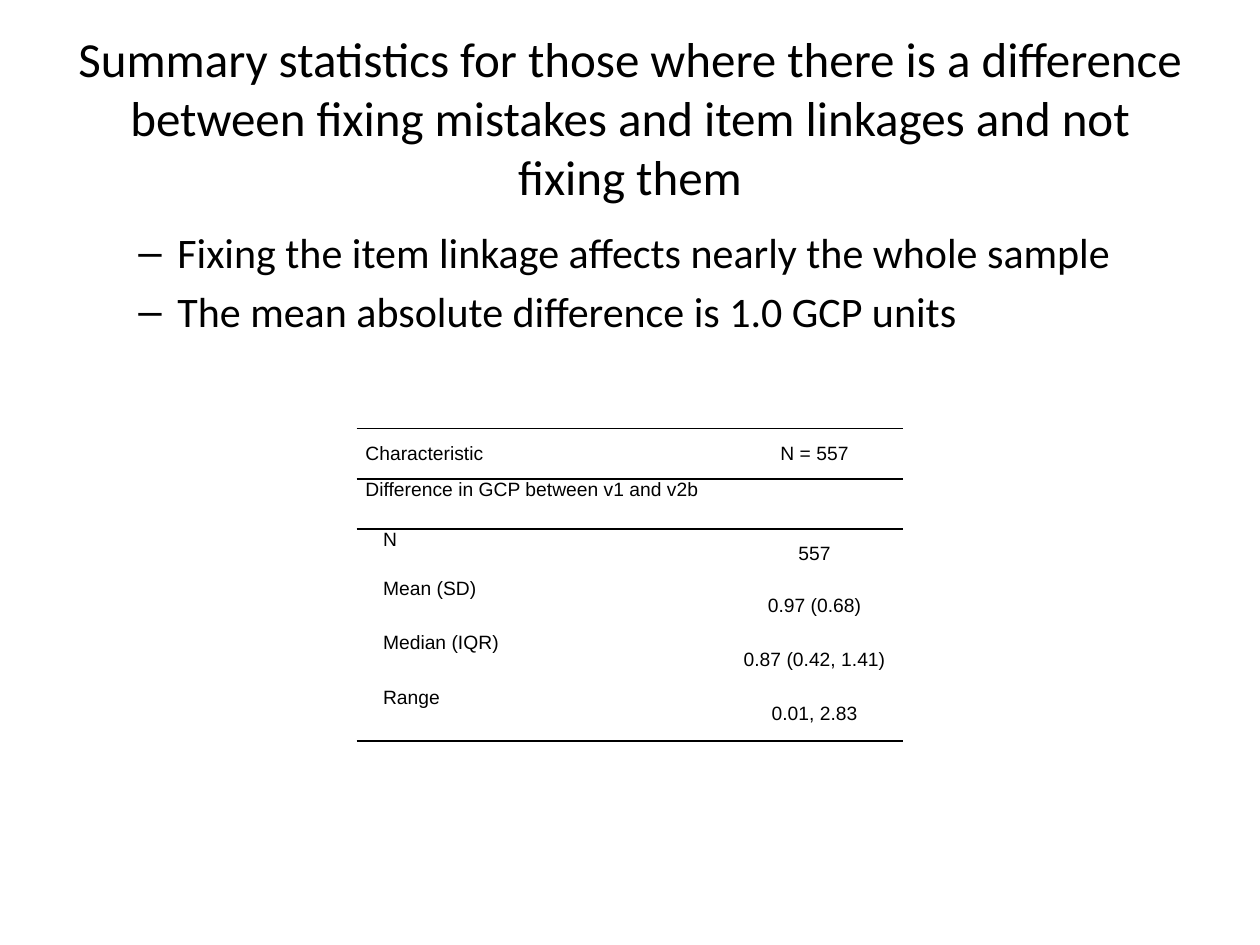
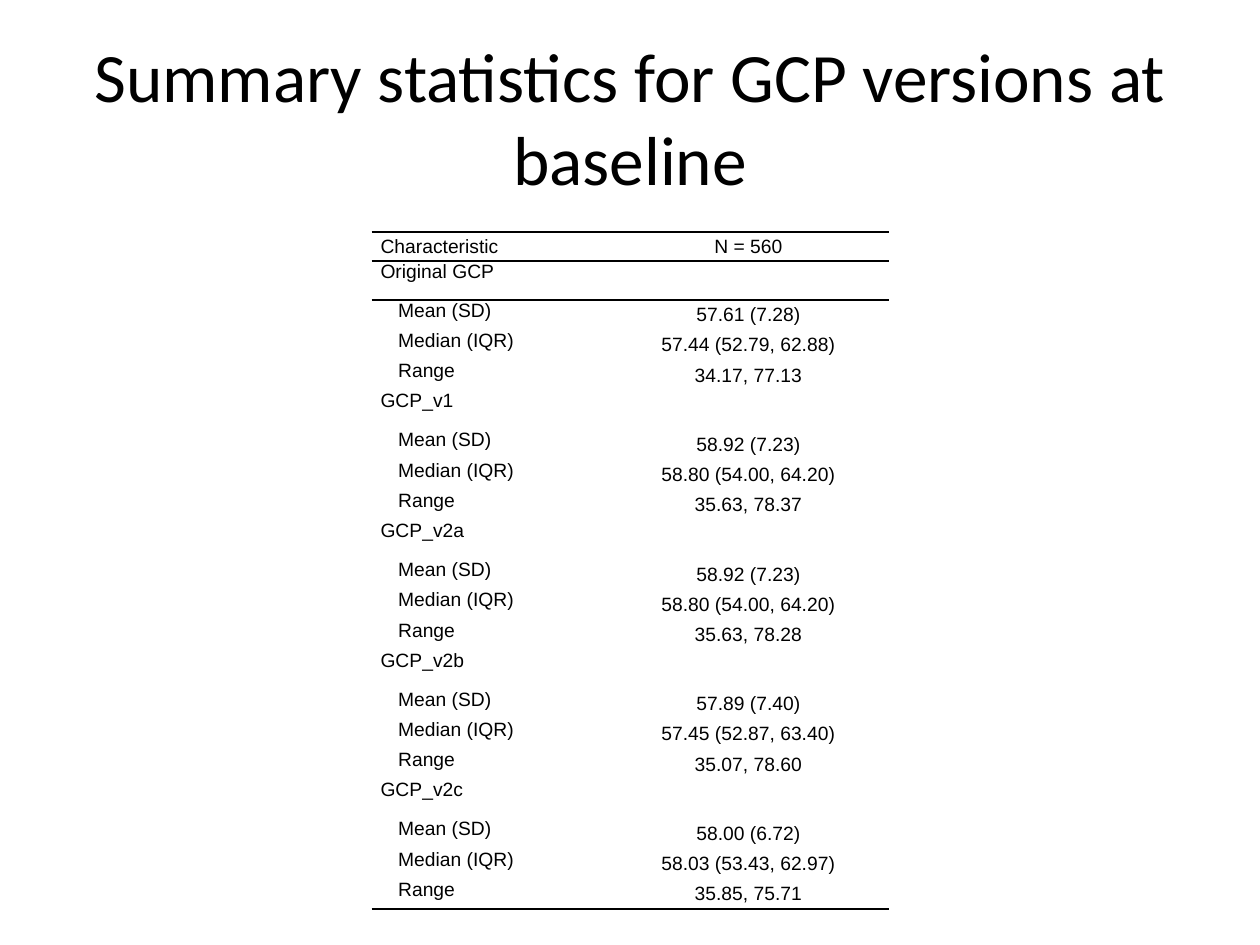
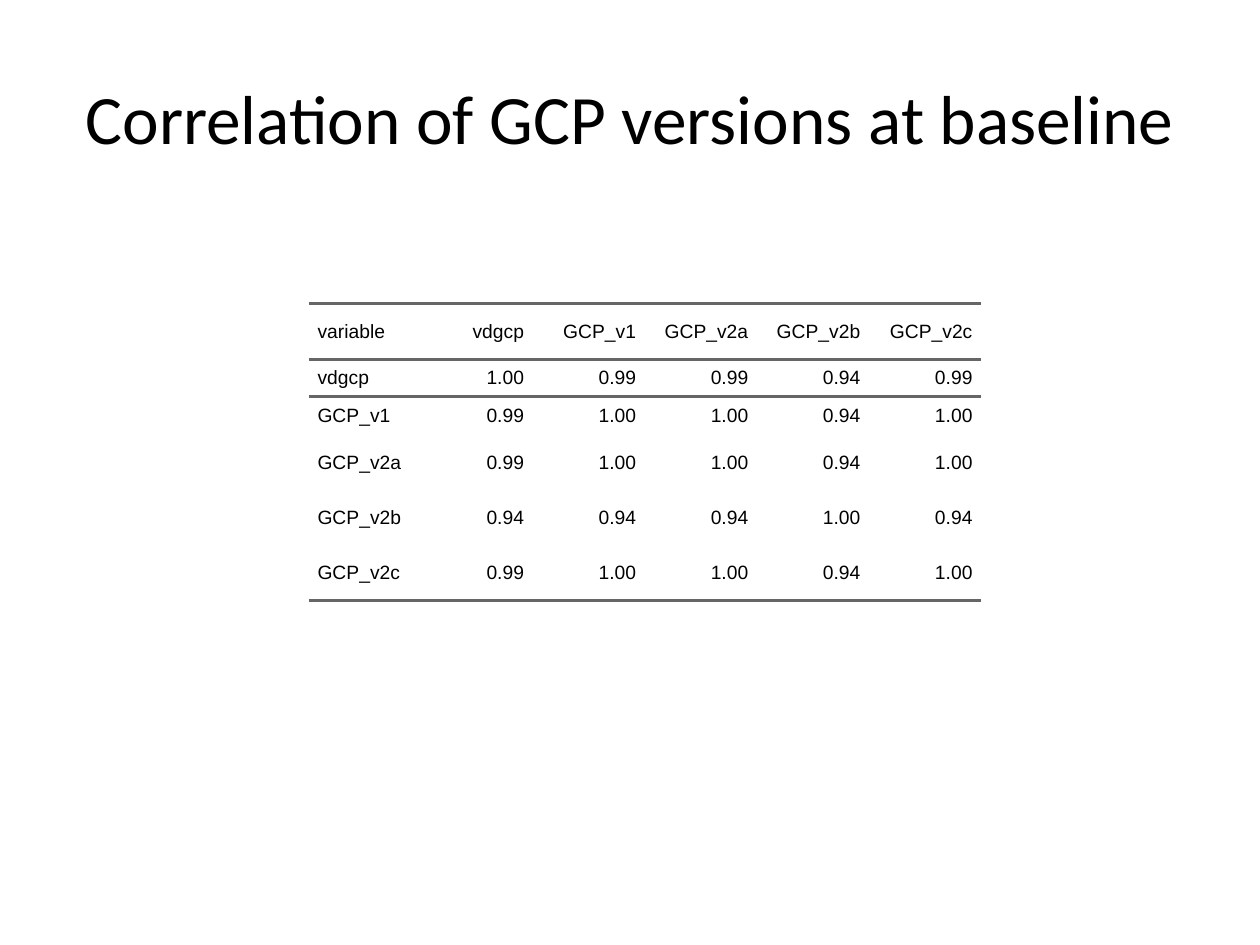
from lxml.etree import SubElement
from pptx import Presentation
from pptx.dml.color import RGBColor
from pptx.enum.text import MSO_ANCHOR as Anchor, PP_ALIGN as Align
from pptx.oxml.ns import qn
from pptx.util import Inches, Pt

# Shared look
COLORS = {"text": "000000", "rule": "000000", "grid_rule": "666666"}
TITLE_FONT, TABLE_FONT = "Calibri", "Arial"
TITLE_BOX = (0.5, 0.3, 9, 1.25)
BODY_BOX = (0.5, 1.75, 9, 4.95)
PLAIN_STYLE = "{2D5ABB26-0587-4C30-8999-92F81FD0307C}"
INDENT, SUB_INDENT = 0.07, 0.21

# Slide content
DIFFERENCE_TITLE = (
    "Summary statistics for those where there is a difference between "
    "fixing mistakes and item linkages and not fixing them"
)
DIFFERENCE_POINTS = [
    "Fixing the item linkage affects nearly the whole sample",
    "The mean absolute difference is 1.0 GCP units",
]
DIFFERENCE_GROUPS = {
    "Difference in GCP between v1 and v2b": {
        "N": "557",
        "Mean (SD)": "0.97 (0.68)",
        "Median (IQR)": "0.87 (0.42, 1.41)",
        "Range": "0.01, 2.83",
    },
}

BASELINE_TITLE = "Summary statistics for GCP versions at baseline"
STATISTICS = ["Mean (SD)", "Median (IQR)", "Range"]
BASELINE_VALUES = {
    "Original GCP": ["57.61 (7.28)", "57.44 (52.79, 62.88)", "34.17, 77.13"],
    "GCP_v1": ["58.92 (7.23)", "58.80 (54.00, 64.20)", "35.63, 78.37"],
    "GCP_v2a": ["58.92 (7.23)", "58.80 (54.00, 64.20)", "35.63, 78.28"],
    "GCP_v2b": ["57.89 (7.40)", "57.45 (52.87, 63.40)", "35.07, 78.60"],
    "GCP_v2c": ["58.00 (6.72)", "58.03 (53.43, 62.97)", "35.85, 75.71"],
}

CORRELATION_TITLE = "Correlation of GCP versions at baseline"
VERSIONS = ["vdgcp", "GCP_v1", "GCP_v2a", "GCP_v2b", "GCP_v2c"]
CORRELATIONS = [
    ["1.00", "0.99", "0.99", "0.94", "0.99"],
    ["0.99", "1.00", "1.00", "0.94", "1.00"],
    ["0.99", "1.00", "1.00", "0.94", "1.00"],
    ["0.94", "0.94", "0.94", "1.00", "0.94"],
    ["0.99", "1.00", "1.00", "0.94", "1.00"],
]


def format_runs(paragraph, font_name, size):
    for run in paragraph.runs:
        run.font.name = font_name
        run.font.size = Pt(size)
        run.font.color.rgb = RGBColor.from_string(COLORS["text"])


def add_text_box(slide, box, anchor):
    text_frame = slide.shapes.add_textbox(*map(Inches, box)).text_frame
    text_frame.word_wrap = True
    text_frame.vertical_anchor = anchor
    return text_frame


def add_titled_slide(presentation, title, size=39.6):
    slide = presentation.slides.add_slide(presentation.slide_layouts[6])
    text_frame = add_text_box(slide, TITLE_BOX, Anchor.MIDDLE)
    text_frame.text = title
    paragraph = text_frame.paragraphs[0]
    paragraph.alignment = Align.CENTER
    format_runs(paragraph, TITLE_FONT, size)
    return slide


def add_dash_list(slide, points):
    text_frame = add_text_box(slide, BODY_BOX, Anchor.TOP)
    for index, point in enumerate(points):
        paragraph = text_frame.add_paragraph() if index else text_frame.paragraphs[0]
        paragraph.text = point
        properties = paragraph._p.get_or_add_pPr()
        properties.set("marL", str(Inches(0.81)))
        properties.set("indent", str(Inches(-0.31)))
        SubElement(properties, qn("a:buFont"), typeface="Arial")
        SubElement(properties, qn("a:buChar"), char="–")
        if index:
            paragraph.space_before = Pt(4.8)
        format_runs(paragraph, TITLE_FONT, 24)


def add_plain_table(slide, left, top, widths, heights):
    frame = slide.shapes.add_table(
        len(heights), len(widths), Inches(left), Inches(top),
        Inches(sum(widths)), Inches(sum(heights)))
    table = frame.table
    table.first_row = table.horz_banding = False
    table._tbl.tblPr.find(qn("a:tableStyleId")).text = PLAIN_STYLE
    for column, width in zip(table.columns, widths):
        column.width = Inches(width)
    for row, height in zip(table.rows, heights):
        row.height = Inches(height)
    for cell in table.iter_cells():
        cell.margin_left = cell.margin_right = 0
        cell.margin_top = cell.margin_bottom = 0
        cell.fill.background()
    return table


def fill_cell(cell, text, alignment, anchor=Anchor.MIDDLE, indent=INDENT, after=5):
    cell.text = text
    cell.vertical_anchor = anchor
    paragraph = cell.text_frame.paragraphs[0]
    paragraph.alignment = alignment
    paragraph.space_after = Pt(after)
    properties = paragraph._p.get_or_add_pPr()
    properties.set("marL", str(Inches(indent)))
    properties.set("marR", str(Inches(INDENT)))
    properties.set("indent", "0")
    format_runs(paragraph, TABLE_FONT, 11)


def draw_rules(table, color, width):
    """Rule above and below the header row, and below the last row."""
    last = len(table.rows) - 1
    edges = [(0, "a:lnB"), (0, "a:lnT"), (1, "a:lnT"), (last, "a:lnB")]
    for row_index, tag in edges:
        for cell in table.rows[row_index].cells:
            properties = cell._tc.get_or_add_tcPr()
            line = SubElement(properties, qn(tag), w=str(Pt(width)))
            fill = SubElement(line, qn("a:solidFill"))
            SubElement(fill, qn("a:srgbClr"), val=color)
            properties.insert(0, line)


def add_statistics_table(slide, left, top, widths, heights, count, groups):
    table = add_plain_table(slide, left, top, widths, heights)
    fill_cell(table.cell(0, 0), "Characteristic", Align.LEFT, after=2)
    fill_cell(table.cell(0, 1), count, Align.CENTER, after=2)
    row = 1
    for group, statistics in groups.items():
        fill_cell(table.cell(row, 0), group, Align.LEFT, Anchor.TOP)
        row += 1
        for name, value in statistics.items():
            fill_cell(table.cell(row, 0), name, Align.LEFT, Anchor.TOP, SUB_INDENT)
            fill_cell(table.cell(row, 1), value, Align.CENTER)
            row += 1
    draw_rules(table, COLORS["rule"], 1)


def add_correlation_table(slide):
    heights = [0.44, 0.3, 0.3, 0.44, 0.44, 0.44]
    table = add_plain_table(slide, 2.45, 2.41, [0.89] * 6, heights)
    rows = [["variable"] + VERSIONS]
    rows += [[version] + values for version, values in zip(VERSIONS, CORRELATIONS)]
    for row_index, texts in enumerate(rows):
        for column_index, text in enumerate(texts):
            alignment = Align.RIGHT if column_index else Align.LEFT
            fill_cell(table.cell(row_index, column_index), text, alignment)
    draw_rules(table, COLORS["grid_rule"], 2)


def main():
    presentation = Presentation()
    presentation.slide_width, presentation.slide_height = Inches(10), Inches(7.5)

    # Difference between versions
    slide = add_titled_slide(presentation, DIFFERENCE_TITLE, 28)
    add_dash_list(slide, DIFFERENCE_POINTS)
    add_statistics_table(
        slide, 2.83, 3.4, [2.93, 1.41], [0.4, 0.4, 0.39, 0.43, 0.43, 0.43],
        "N = 557", DIFFERENCE_GROUPS)

    # Baseline statistics
    slide = add_titled_slide(presentation, BASELINE_TITLE)
    groups = {name: dict(zip(STATISTICS, values))
              for name, values in BASELINE_VALUES.items()}
    heights = [0.23] + [0.31, 0.24, 0.24, 0.24] * len(groups)
    add_statistics_table(
        slide, 2.95, 1.84, [1.87, 2.24], heights, "N = 560", groups)

    # Correlations
    slide = add_titled_slide(presentation, CORRELATION_TITLE)
    add_correlation_table(slide)

    presentation.save("out.pptx")


if __name__ == "__main__":
    main()
